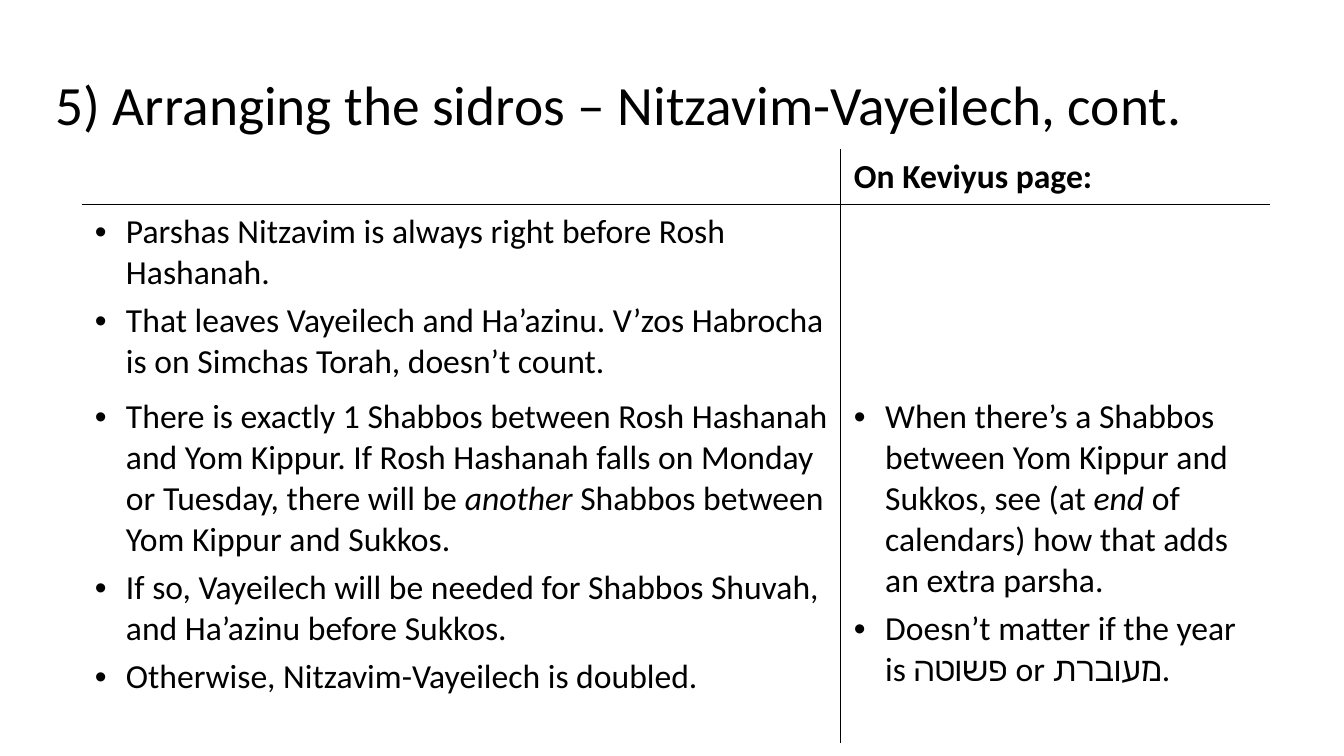
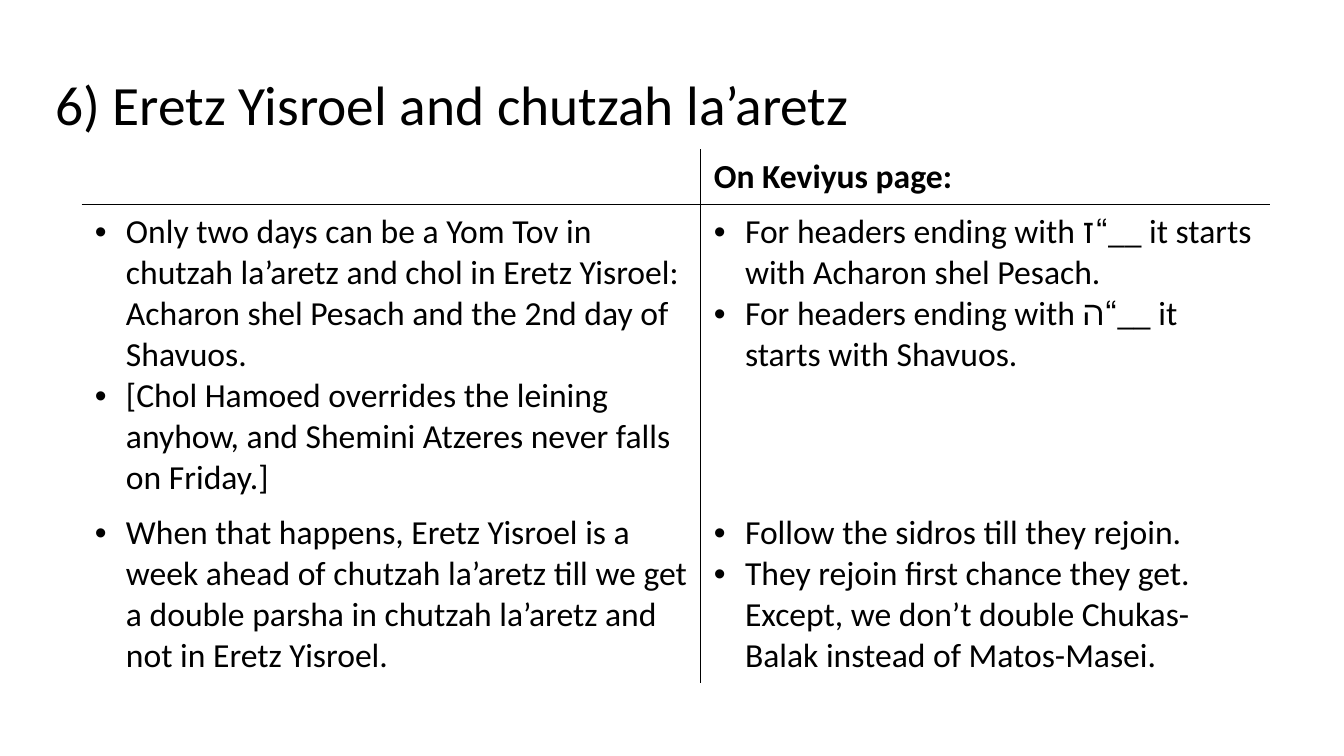
import pptx
import pptx.util
import pptx.dml.color
import pptx.enum.text
import pptx.oxml
import pptx.oxml.ns
import lxml.etree

Inches = pptx.util.Inches
Pt = pptx.util.Pt
qn = pptx.oxml.ns.qn

FONT = "Calibri"
BLACK = "000000"
HEADER = "On Keviyus page:"

SIDROS = [
    [
        [
            "Parshas Nitzavim is always right before Rosh Hashanah.",
            "That leaves Vayeilech and Ha’azinu. V’zos Habrocha is on Simchas Torah, doesn’t count.",
        ],
        [],
    ],
    [
        [
            "There is exactly 1 Shabbos between Rosh Hashanah and Yom Kippur. If Rosh Hashanah "
            "falls on Monday or Tuesday, there will be *another* Shabbos between Yom Kippur and Sukkos.",
            "If so, Vayeilech will be needed for Shabbos Shuvah, and Ha’azinu before Sukkos.",
            "Otherwise, Nitzavim-Vayeilech is doubled.",
        ],
        [
            "When there’s a Shabbos between Yom Kippur and Sukkos, see (at *end* of calendars) "
            "how that adds an extra parsha.",
            "Doesn’t matter if the year is פשוטה or מעוברת.",
        ],
    ],
]

ERETZ = [
    [
        [
            "Only two days can be a Yom Tov in chutzah la’aretz and chol in Eretz Yisroel: "
            "Acharon shel Pesach and the 2nd day of Shavuos.",
            "[Chol Hamoed overrides the leining anyhow, and Shemini Atzeres never falls on Friday.]",
        ],
        [
            "For headers ending with ז“__ it starts with Acharon shel Pesach.",
            "For headers ending with ה“__ it starts with Shavuos.",
        ],
    ],
    [
        [
            "When that happens, Eretz Yisroel is a week ahead of chutzah la’aretz till we get "
            "a double parsha in chutzah la’aretz and not in Eretz Yisroel.",
        ],
        [
            "Follow the sidros till they rejoin.",
            "They rejoin first chance they get. Except, we don’t double Chukas-Balak instead of Matos-Masei.",
        ],
    ],
]


def color(code):
    return pptx.dml.color.RGBColor.from_string(code)


def style(run, size, bold=False, slant=False):
    run.font.name = FONT
    run.font.size = Pt(size)
    run.font.bold = bold
    run.font.italic = slant
    run.font.color.rgb = color(BLACK)


def add_title(slide, text):
    title = slide.shapes.title
    title.left, title.top = Inches(0.45), Inches(0.65)
    title.width, title.height = Inches(12.42), Inches(0.84)
    frame = title.text_frame
    frame.text = text
    frame.word_wrap = True
    frame.auto_size = pptx.enum.text.MSO_AUTO_SIZE.NONE
    frame.vertical_anchor = pptx.enum.text.MSO_ANCHOR.MIDDLE
    frame.margin_left = frame.margin_right = Inches(0.1)
    frame.margin_top = frame.margin_bottom = Inches(0.1)
    line = frame.paragraphs[0]
    line.alignment = pptx.enum.text.PP_ALIGN.LEFT
    line.line_spacing = 0.9
    style(line.runs[0], 39.6)


def add_bullet(line):
    props = line._p.get_or_add_pPr()
    props.set("marL", str(Inches(0.31)))
    props.set("indent", str(-Inches(0.31)))
    lxml.etree.SubElement(props, qn("a:buFont")).set("typeface", "Arial")
    lxml.etree.SubElement(props, qn("a:buChar")).set("char", "•")


def write_points(cell, points, gap):
    frame = cell.text_frame
    for index, point in enumerate(points):
        line = frame.add_paragraph() if index else frame.paragraphs[0]
        line.space_before = Pt(gap)
        add_bullet(line)
        for part, words in enumerate(point.split("*")):
            run = line.add_run()
            run.text = words
            style(run, 24, slant=part % 2 == 1)


def set_edges(cell, drawn):
    props = cell._tc.get_or_add_tcPr()
    for side in "LRTB":
        edge = lxml.etree.SubElement(props, qn("a:ln" + side))
        edge.set("w", str(Pt(1)))
        if side in drawn:
            fill = lxml.etree.SubElement(edge, qn("a:solidFill"))
            lxml.etree.SubElement(fill, qn("a:srgbClr")).set("val", BLACK)
        else:
            lxml.etree.SubElement(edge, qn("a:noFill"))


def format_cell(cell, row, col):
    set_edges(cell, "RL"[col] + {0: "B", 1: "T"}.get(row, ""))
    cell.fill.background()
    cell.margin_left = cell.margin_right = Inches(0.13)
    cell.margin_top = cell.margin_bottom = Inches(0.07)


def add_grid(slide, body, widths, heights, gap):
    frame = slide.shapes.add_table(
        len(heights), len(widths), Inches(0.81), Inches(1.48),
        Inches(sum(widths)), Inches(sum(heights)))
    table = frame.table
    table.first_row = table.horz_banding = False
    for col, width in enumerate(widths):
        table.columns[col].width = Inches(width)
    for row, height in enumerate(heights):
        table.rows[row].height = Inches(height)
        for col in range(len(widths)):
            cell = table.cell(row, col)
            format_cell(cell, row, col)
            if row:
                write_points(cell, body[row - 1][col], gap)
    head = table.cell(0, 1).text_frame
    head.text = HEADER
    head.paragraphs[0].space_before = Pt(gap)
    style(head.paragraphs[0].runs[0], 24, bold=True)


def add_page(deck, title, body, widths, heights, gap):
    slide = deck.slides.add_slide(deck.slide_layouts[5])
    add_title(slide, title)
    add_grid(slide, body, widths, heights, gap)


def main():
    deck = pptx.Presentation()
    deck.slide_width, deck.slide_height = Inches(13.33), Inches(7.5)
    add_page(deck, "5) Arranging the sidros – Nitzavim-Vayeilech, cont.",
             SIDROS, [7.53, 4.26], [0.53, 1.83, 3.51], 5)
    add_page(deck, "6) Eretz Yisroel and chutzah la’aretz",
             ERETZ, [6.14, 5.65], [0.54, 2.93, 1.73], 0)
    deck.save("out.pptx")


main()
